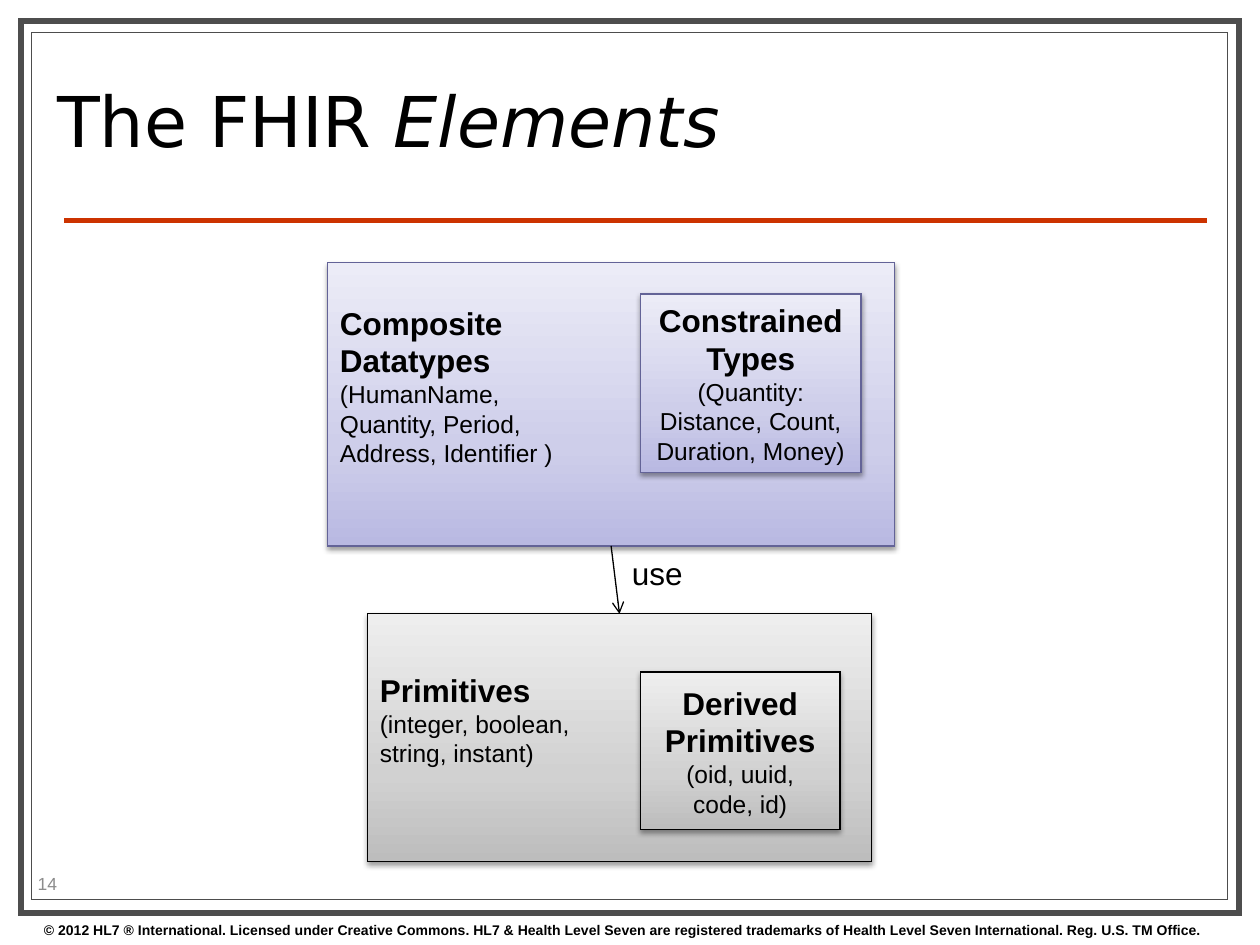
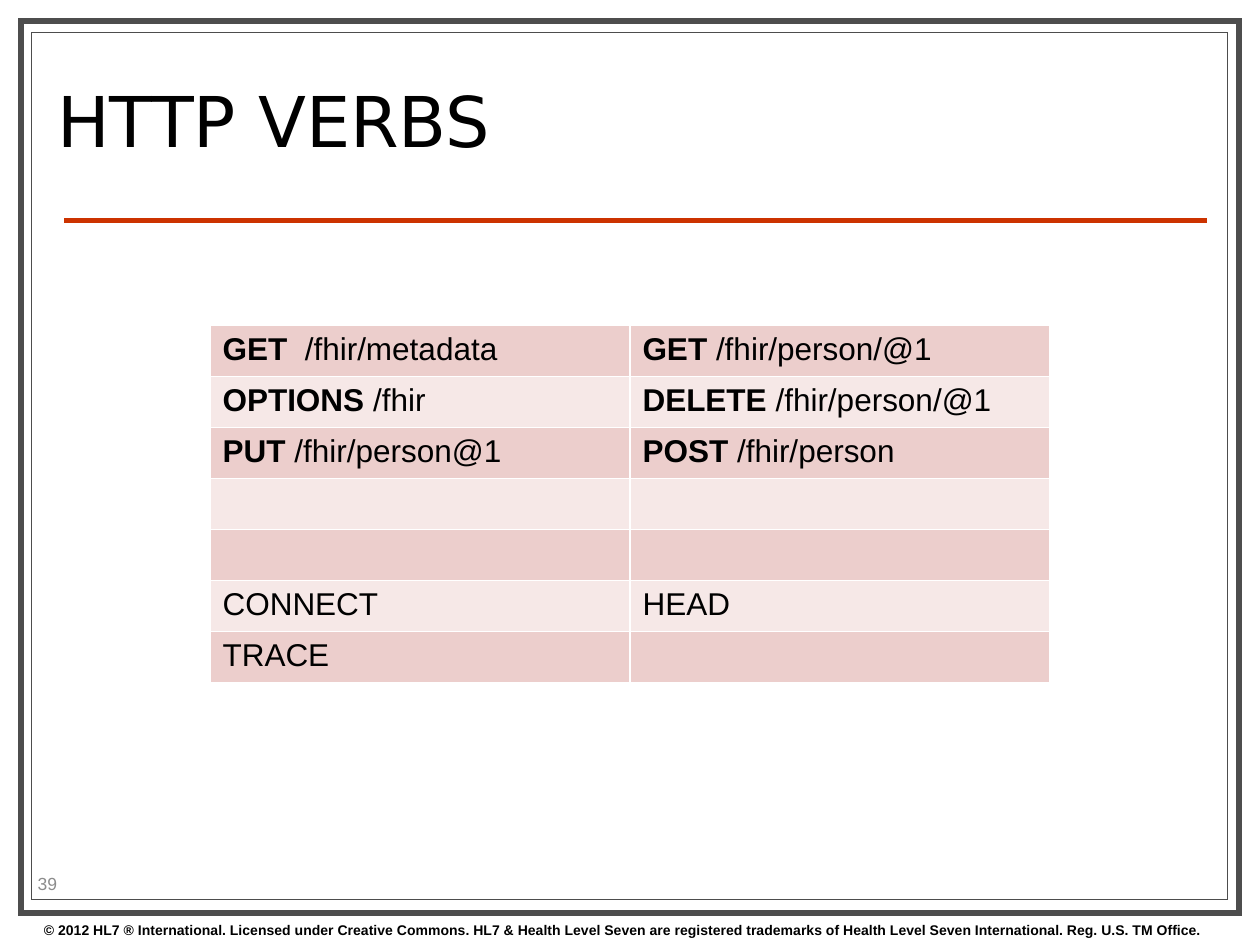
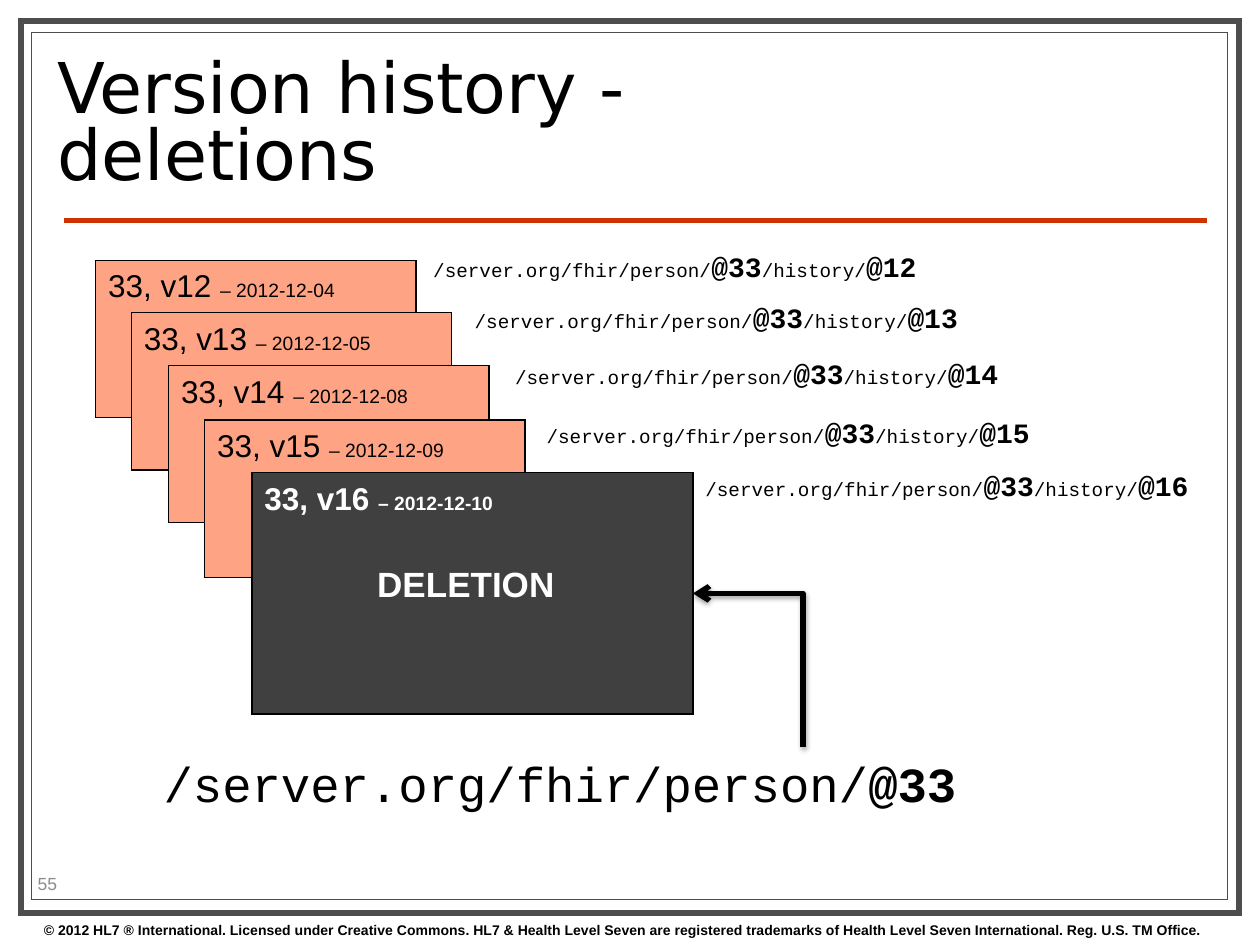
from copy import deepcopy

from pptx import Presentation
from pptx.dml.color import RGBColor
from pptx.enum.shapes import MSO_CONNECTOR, MSO_SHAPE
from pptx.enum.text import MSO_ANCHOR, MSO_AUTO_SIZE, PP_ALIGN
from pptx.oxml import parse_xml
from pptx.oxml.ns import nsdecls, qn
from pptx.util import Pt

BLACK = RGBColor(0x00, 0x00, 0x00)
WHITE = RGBColor(0xFF, 0xFF, 0xFF)
FRAME_GRAY = RGBColor(0x4D, 0x4D, 0x4D)
NUMBER_GRAY = RGBColor(0x8C, 0x8C, 0x8C)
RULE_RED = RGBColor(0xCC, 0x33, 0x00)
EDGE_VIOLET = RGBColor(0x63, 0x63, 0x97)
CARD_ORANGE = RGBColor(0xFF, 0xA3, 0x85)
CARD_DARK = RGBColor(0x40, 0x40, 0x40)
ROW_FILLS = [RGBColor(0xEC, 0xCE, 0xCC), RGBColor(0xF6, 0xE8, 0xE7)]
GRAYS = [RGBColor(0xBD, 0xBD, 0xBD), RGBColor(0xD1, 0xD1, 0xD1), RGBColor(0xEE, 0xEE, 0xEE)]
VIOLETS = [RGBColor(0xB9, 0xB9, 0xE2), RGBColor(0xCE, 0xCE, 0xEA), RGBColor(0xEC, 0xEC, 0xF7)]
STOPS = [0, 0.35, 1]

TITLE = {"name": "DejaVu Sans", "size": Pt(40)}
TITLE_ITALIC = {**TITLE, "italic": True}
COPYRIGHT = {"name": "Arial", "size": Pt(8), "bold": True}
NUMBER = {"name": "Arial", "size": Pt(10)}
PLAIN = {"name": "Arial", "size": Pt(18)}
STRONG = {**PLAIN, "bold": True}
DETAIL = {"name": "Arial", "size": Pt(14)}
DATE = {"name": "Arial", "size": Pt(11)}
DATE_STRONG = {**DATE, "bold": True}
DELETION = {"name": "Arial", "size": Pt(20), "bold": True}
CODE = {"name": "Courier New", "size": Pt(11)}
CODE_STRONG = {"name": "Courier New", "size": Pt(16), "bold": True}
CODE_LARGE = {"name": "Courier New", "size": Pt(28)}
CODE_LARGE_STRONG = {**CODE_LARGE, "bold": True}

SHADOW = parse_xml(
    f'<a:outerShdw {nsdecls("a")} blurRad="39370" dist="20320" dir="5400000" rotWithShape="0">'
    '<a:srgbClr val="000000"><a:alpha val="38000"/></a:srgbClr></a:outerShdw>'
)
ARROW = parse_xml(f'<a:tailEnd {nsdecls("a")} type="arrow"/>')
SQUARE_CORNER = parse_xml(f'<a:miter {nsdecls("a")} lim="800000"/>')


def write(frame, lines, color=BLACK, align=PP_ALIGN.LEFT):
    frame.word_wrap = True
    for index, line in enumerate(lines):
        para = frame.add_paragraph() if index else frame.paragraphs[0]
        para.alignment = align
        for text, style in line:
            span = para.add_run()
            span.text = text
            span.font.color.rgb = color
            for key, value in style.items():
                setattr(span.font, key, value)


def add_box(page, bounds, fill, edge, weight=0.75):
    box = page.shapes.add_shape(MSO_SHAPE.RECTANGLE, *map(Pt, bounds))
    box.shadow.inherit = False
    box.line.color.rgb = edge
    box.line.width = Pt(weight)
    outline = box._element.spPr
    outline.find(qn("a:ln")).append(deepcopy(SQUARE_CORNER))
    if isinstance(fill, RGBColor):
        box.fill.solid()
        box.fill.fore_color.rgb = fill
        return box
    box.fill.gradient()
    box.fill.gradient_angle = 90
    stop_list = outline.find(".//" + qn("a:gsLst"))
    stop_list.append(deepcopy(stop_list[0]))
    for stop, color, position in zip(box.fill.gradient_stops, fill, STOPS):
        stop.color.rgb = color
        stop.position = position
    outline.find(qn("a:effectLst")).append(deepcopy(SHADOW))
    return box


deck = Presentation()
deck.slide_width, deck.slide_height = Pt(720), Pt(540)
layout = deck.slide_layouts[5]
title_place = layout.placeholders[0]
for key, value in {"left": 25.5, "top": 26.2, "width": 516.2, "height": 92.9}.items():
    setattr(title_place, key, Pt(value))

titles = [
    (14, [("The FHIR ", TITLE), ("Elements", TITLE_ITALIC)]),
    (39, [("HTTP VERBS", TITLE)]),
    (55, [("Version history - deletions", TITLE)]),
]
pages = []
for number, title in titles:
    page = deck.slides.add_slide(layout)
    pages.append(page)
    frame = page.shapes.title.text_frame
    write(frame, [title])
    frame.paragraphs[0].line_spacing = 0.8
    number_box = page.shapes.add_textbox(Pt(14.4), Pt(496.1), Pt(57), Pt(17.3))
    write(number_box.text_frame, [[(str(number), NUMBER)]], NUMBER_GRAY)
    for text_frame in (frame, number_box.text_frame):
        text_frame.vertical_anchor = MSO_ANCHOR.MIDDLE
        text_frame.auto_size = MSO_AUTO_SIZE.NONE

elements, verbs, history = pages

outer = add_box(elements, (12, 12, 696, 509.7), WHITE, FRAME_GRAY, 3.5)
inner = add_box(elements, (18.2, 18.7, 683.3, 495.4), WHITE, FRAME_GRAY)
rule = elements.shapes.add_connector(MSO_CONNECTOR.STRAIGHT, Pt(36.7), Pt(126), Pt(689.8), Pt(126))
notice = elements.shapes.add_textbox(Pt(18), Pt(523), Pt(702), Pt(16.6))
write(notice.text_frame, [[(
    "© 2012 HL7 ® International. Licensed under Creative Commons. HL7 & Health Level Seven "
    "are registered trademarks of Health Level Seven International. Reg. U.S. TM Office.",
    COPYRIGHT,
)]])
for index, part in enumerate([outer, inner, rule, notice]):
    part._element.xpath(".//p:cNvPr")[0].set("id", str(20 + index))
    layout.shapes._spTree.insert(2 + index, part._element)

groups = [
    ((210, 350.8, 288, 141.5), GRAYS, BLACK, PP_ALIGN.LEFT, 24.3,
     ["Primitives"], ["(integer, boolean,", "string, instant)"]),
    ((366, 384, 114, 90), GRAYS, BLACK, PP_ALIGN.CENTER, 3.6,
     ["Derived Primitives"], ["(oid, uuid,", "code, id)"]),
    ((187.2, 150, 324, 162), VIOLETS, EDGE_VIOLET, PP_ALIGN.LEFT, 25,
     ["Composite", "Datatypes"], ["(HumanName,", "Quantity, Period,", "Address, Identifier )"]),
    ((366, 168, 126, 102), VIOLETS, EDGE_VIOLET, PP_ALIGN.CENTER, 3.6,
     ["Constrained Types"], ["(Quantity: Distance, Count, Duration, Money)"]),
]
for bounds, fill, edge, align, bottom, names, members in groups:
    box = add_box(elements, bounds, fill, edge)
    box.text_frame.margin_bottom = Pt(bottom)
    lines = [[(name, STRONG)] for name in names] + [[(member, DETAIL)] for member in members]
    write(box.text_frame, lines, align=align)
use_arrow = elements.shapes.add_connector(
    MSO_CONNECTOR.STRAIGHT, Pt(349.2), Pt(312), Pt(354), Pt(350.8))
use_label = elements.shapes.add_textbox(Pt(354), Pt(313), Pt(44), Pt(29))
write(use_label.text_frame, [[("use", PLAIN)]])
use_label.text_frame.word_wrap = False

requests = [
    [("GET", "  /fhir/metadata"), ("GET", " /fhir/person/@1")],
    [("OPTIONS", " /fhir"), ("DELETE", " /fhir/person/@1")],
    [("PUT", " /fhir/person@1"), ("POST", " /fhir/person")],
    [None, None],
    [None, None],
    [("", "CONNECT"), ("", "HEAD")],
    [("", "TRACE"), None],
]
table = verbs.shapes.add_table(
    len(requests), 2, Pt(120), Pt(185.8), Pt(480), Pt(29.2 * len(requests))).table
table.first_row = False
table.horz_banding = False
for row, request_row in enumerate(requests):
    for column, request in enumerate(request_row):
        cell = table.cell(row, column)
        cell.fill.solid()
        cell.fill.fore_color.rgb = ROW_FILLS[row % 2]
        if request:
            spans = [span for span in zip(request, (STRONG, PLAIN)) if span[0]]
            write(cell.text_frame, [spans])

versions = [
    (12, "2012-12-04", (54.7, 148.7), (240.5, 139)),
    (13, "2012-12-05", (75.1, 178.6), (264.2, 168)),
    (14, "2012-12-08", (96.5, 208.8), (287.3, 200.2)),
    (15, "2012-12-09", (117, 240), (305.3, 234)),
    (16, "2012-12-10", (144, 270), (396, 264.2)),
]
for version, date, corner, address_corner in versions:
    deleted = version == 16
    size = (252, 138) if deleted else (183, 90)
    card = add_box(history, corner + size, CARD_DARK if deleted else CARD_ORANGE, BLACK)
    card.text_frame.vertical_anchor = MSO_ANCHOR.TOP
    lines = [[
        (f"33, v{version} ", STRONG if deleted else PLAIN),
        (f"– {date}", DATE_STRONG if deleted else DATE),
    ]]
    if deleted:
        lines.append([("DELETION", DELETION)])
    write(card.text_frame, lines, WHITE if deleted else BLACK)
    if deleted:
        para = card.text_frame.paragraphs[1]
        para.space_before = Pt(26.3)
        para._p.get_or_add_pPr().set("marL", str(Pt(64.5)))
    address = history.shapes.add_textbox(*map(Pt, address_corner + (295.2, 26.6)))
    write(address.text_frame, [[
        ("/server.org/fhir/person/", CODE), ("@33", CODE_STRONG),
        ("/history/", CODE), (f"@{version}", CODE_STRONG),
    ]])
current = history.shapes.add_textbox(Pt(86.4), Pt(427), Pt(495.4), Pt(41))
write(current.text_frame, [[("/server.org/fhir/person/", CODE_LARGE), ("@33", CODE_LARGE_STRONG)]])
current_arrow = history.shapes.add_connector(
    MSO_CONNECTOR.ELBOW, Pt(383.5), Pt(414.5), Pt(471.4), Pt(351.6))
bend = current_arrow._element.spPr
bend.find(qn("a:xfrm")).set("rot", "16200000")
bend.find(qn("a:prstGeom")).set("prst", "bentConnector2")

connectors = [
    (rule, RULE_RED, 3, False, False),
    (use_arrow, BLACK, 0.75, True, False),
    (current_arrow, BLACK, 3, True, True),
]
for connector, color, weight, has_arrow, has_shadow in connectors:
    connector.line.color.rgb = color
    connector.line.width = Pt(weight)
    outline = connector._element.spPr
    if has_arrow:
        outline.find(qn("a:ln")).append(deepcopy(ARROW))
    effects = parse_xml(f'<a:effectLst {nsdecls("a")}/>')
    if has_shadow:
        effects.append(deepcopy(SHADOW))
    outline.append(effects)

deck.save("out.pptx")
